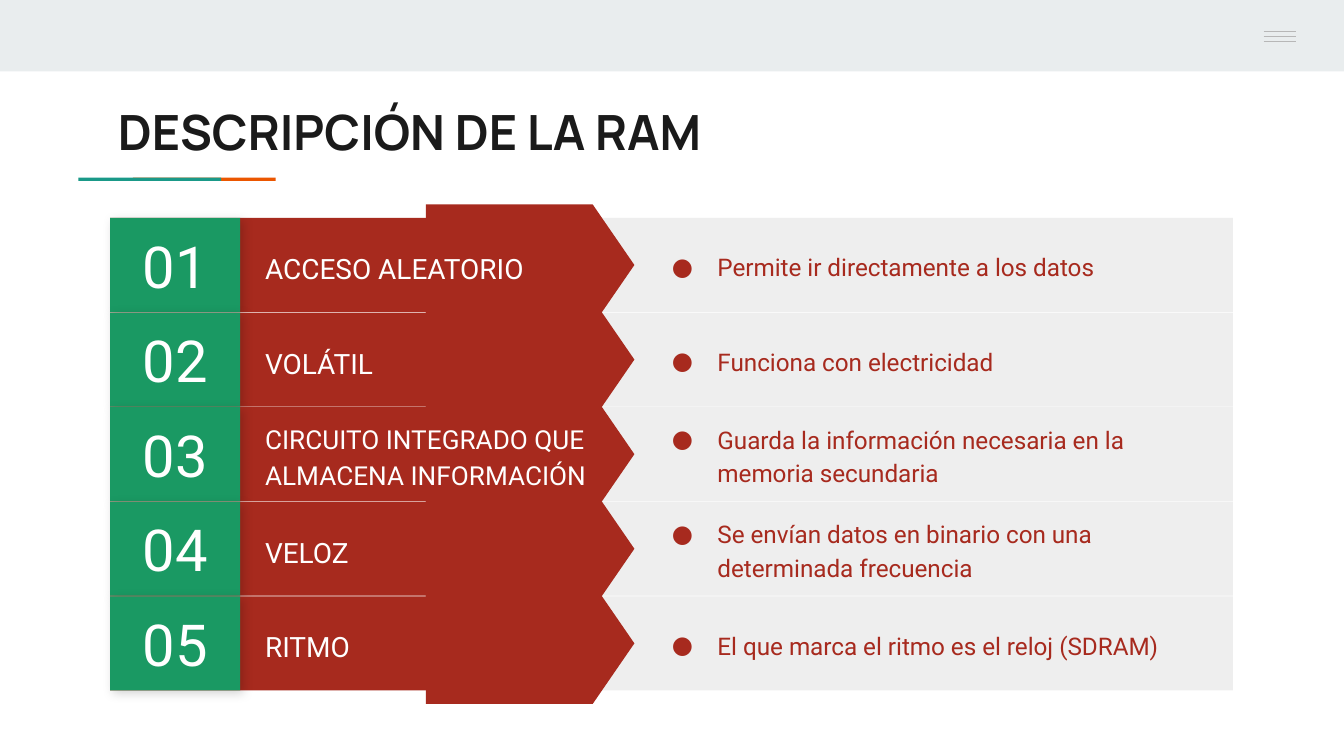
from dataclasses import dataclass

from lxml import etree
from pptx import Presentation
from pptx.dml.color import RGBColor
from pptx.enum.shapes import MSO_CONNECTOR, MSO_SHAPE
from pptx.enum.text import MSO_ANCHOR, MSO_AUTO_SIZE, PP_ALIGN
from pptx.oxml.ns import qn
from pptx.util import Cm, Pt

RECT = MSO_SHAPE.RECTANGLE
ARROW = MSO_SHAPE.FLOWCHART_OFFPAGE_CONNECTOR
LINE = MSO_CONNECTOR.STRAIGHT
TOP, MIDDLE = MSO_ANCHOR.TOP, MSO_ANCHOR.MIDDLE
LEFT, CENTER = PP_ALIGN.LEFT, PP_ALIGN.CENTER
FIXED = MSO_AUTO_SIZE.NONE


@dataclass(frozen=True)
class Theme:
    head: str = "Manrope"
    body: str = "Roboto"
    ink: str = "1A1A1A"
    white: str = "FFFFFF"
    band: str = "E9EDEE"
    rule: str = "B7B7B7"
    panel: str = "EEEEEE"
    red: str = "A72A1E"
    brick: str = "B02C20"
    green: str = "1A9963"
    teal: str = "1A9988"
    orange: str = "EB5600"
    title_size: float = 26
    number_size: float = 31
    label_size: float = 15
    small_size: float = 14
    note_size: float = 13


THEME = Theme()

ROWS = [
    ("ACCESO ALEATORIO", THEME.label_size,
     "Permite ir directamente a los datos"),
    ("VOLÁTIL", THEME.label_size,
     "Funciona con electricidad"),
    ("CIRCUITO INTEGRADO QUE ALMACENA INFORMACIÓN", THEME.small_size,
     "Guarda la información necesaria en la memoria secundaria"),
    ("VELOZ", THEME.label_size,
     "Se envían datos en binario con una determinada frecuencia"),
    ("RITMO", THEME.label_size,
     "El que marca el ritmo es el reloj (SDRAM)"),
]


def add_node(parent, tag, **attrs):
    node = etree.SubElement(parent, qn(tag))
    for key, value in attrs.items():
        node.set(key, str(value))
    return node


def add_block(shapes, x, y, w, h, fill, kind=RECT):
    block = shapes.add_shape(kind, Cm(x), Cm(y), Cm(w), Cm(h))
    block.shadow.inherit = False
    block.fill.solid()
    block.fill.fore_color.rgb = RGBColor.from_string(fill)
    block.line.fill.background()
    return block


def add_box(shapes, x, y, w, h):
    return shapes.add_textbox(Cm(x), Cm(y), Cm(w), Cm(h))


def add_shade(block):
    effects = block._element.spPr.find(qn("a:effectLst"))
    shade = add_node(effects, "a:outerShdw", blurRad=Pt(5.6), dist=Pt(2.2),
                     dir=45 * 60000, algn="bl", rotWithShape=0)
    color = add_node(shade, "a:srgbClr", val="000000")
    add_node(color, "a:alpha", val=17000)


def add_bullet(para, color):
    props = para._p.get_or_add_pPr()
    props.set("marL", str(Cm(1.27)))
    props.set("indent", str(-Cm(0.86)))
    tint = add_node(props, "a:buClr")
    add_node(tint, "a:srgbClr", val=color)
    add_node(props, "a:buFont", typeface=THEME.body)
    add_node(props, "a:buChar", char="●")


def put_text(shape, text, size, color, font=THEME.body, bold=False,
             align=LEFT, anchor=MIDDLE, spacing=1.0, bullet=False):
    frame = shape.text_frame
    frame.word_wrap = True
    frame.auto_size = FIXED
    frame.vertical_anchor = anchor
    frame.margin_left = frame.margin_right = Cm(0.25)
    frame.margin_top = frame.margin_bottom = Cm(0.25)
    para = frame.paragraphs[0]
    para.alignment = align
    para.line_spacing = spacing
    para.space_before = Pt(0)
    if bullet:
        add_bullet(para, color)
    run = para.add_run()
    run.text = text
    run.font.name = font
    run.font.size = Pt(size)
    run.font.bold = bold
    run.font.color.rgb = RGBColor.from_string(color)


def add_header(shapes, x, y, w, h):
    add_block(shapes, x, y, w, h, THEME.band)
    for i in range(3):
        level = Cm(y + 0.6 + 0.09 * i)
        line = shapes.add_connector(LINE, Cm(x + w - 1.52), level,
                                    Cm(x + w - 0.91), level)
        line.line.color.rgb = RGBColor.from_string(THEME.rule)
        line.line.width = Pt(0.75)
        add_node(line._element.spPr, "a:effectLst")


def add_title(slide, x, y, w, h):
    title = slide.shapes.title
    title.left, title.top = Cm(x), Cm(y)
    title.width, title.height = Cm(w), Cm(h)
    put_text(title, "DESCRIPCIÓN DE LA RAM", THEME.title_size, THEME.ink,
             font=THEME.head, bold=True, anchor=TOP)
    rule = slide.shapes.add_group_shape().shapes
    for shift, color in ((0.53, THEME.orange), (-0.5, THEME.teal)):
        add_block(rule, x + shift, y + 1.68, 2.7, 0.06, color)


def add_row(shapes, x, y, w, h, number, label, size, note):
    tag, base, start = 2.46, 6.58, 7.6
    row = shapes.add_group_shape().shapes
    add_block(row, x + start, y, w - start, h, THEME.panel)
    add_block(row, x + tag, y, base, h, THEME.red)

    wide, tall = 3.94, 2.29
    arrow = add_block(row, x + 7.94 - tall / 2, y + (h - wide) / 2,
                      tall, wide, THEME.red, ARROW)
    arrow.rotation = 270

    put_text(add_box(row, x + 2.68, y + 0.22, 6.9, 1.37), label, size,
             THEME.white, spacing=1.15)
    add_shade(add_block(row, x, y, tag, h, THEME.brick))
    put_text(add_block(row, x, y, tag, h, THEME.green), number,
             THEME.number_size, THEME.white, align=CENTER)
    put_text(add_box(row, x + 9.96, y, 10.6, h), note, THEME.note_size,
             THEME.red, spacing=1.15, bullet=True)


def add_list(shapes, x, y, w, h):
    pitch = h / len(ROWS)
    for i, (label, size, note) in enumerate(ROWS):
        add_row(shapes, x, y + i * pitch, w, pitch - 0.01,
                f"{i + 1:02}", label, size, note)


def main():
    deck = Presentation()
    deck.slide_width, deck.slide_height = Cm(25.4), Cm(14.29)
    slide = deck.slides.add_slide(deck.slide_layouts[5])
    add_header(slide.shapes, 0, 0, 25.4, 1.35)
    add_title(slide, 1.98, 1.68, 15.19, 1.37)
    add_list(slide.shapes, 2.08, 4.12, 21.22, 8.94)
    deck.save("out.pptx")


if __name__ == "__main__":
    main()
